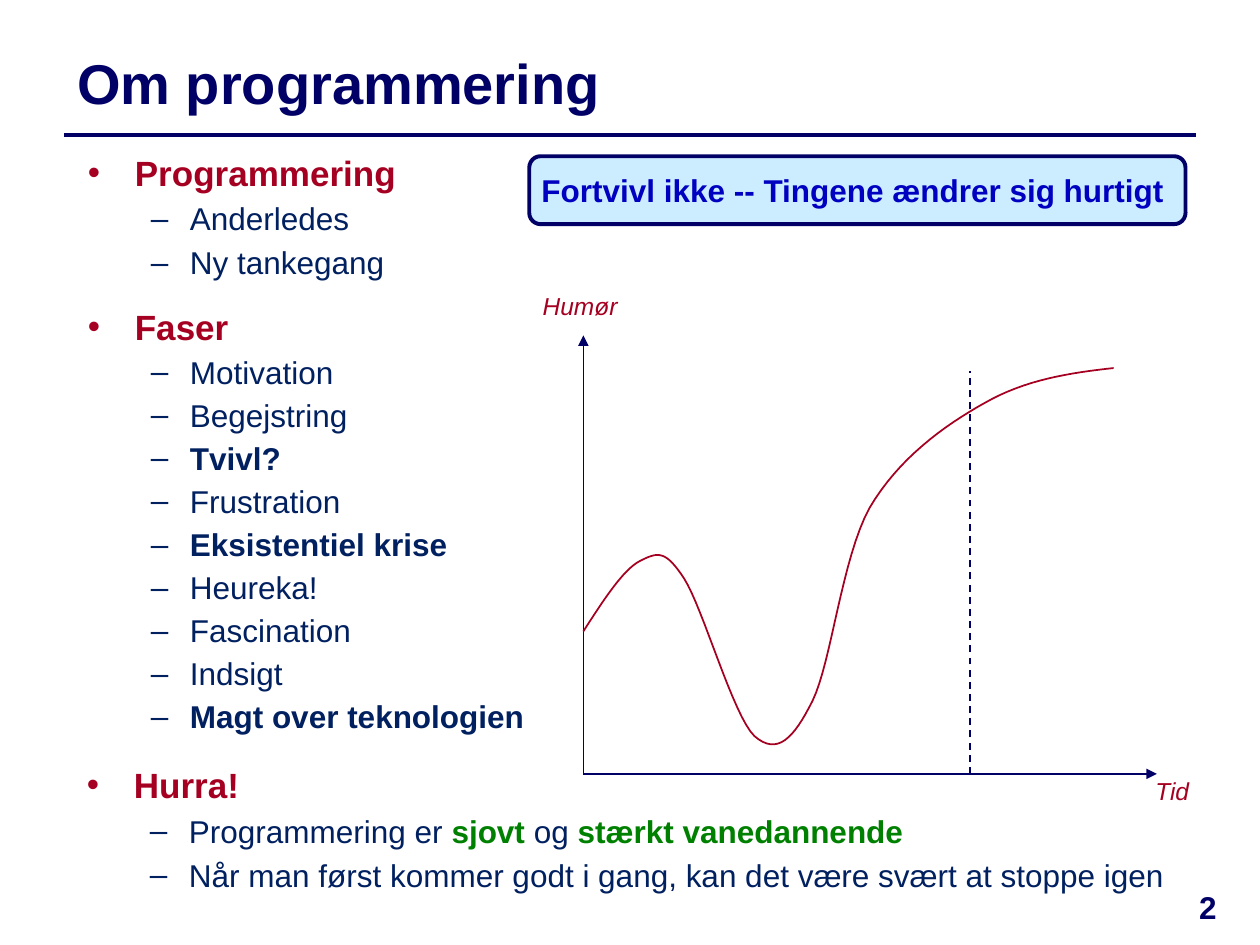
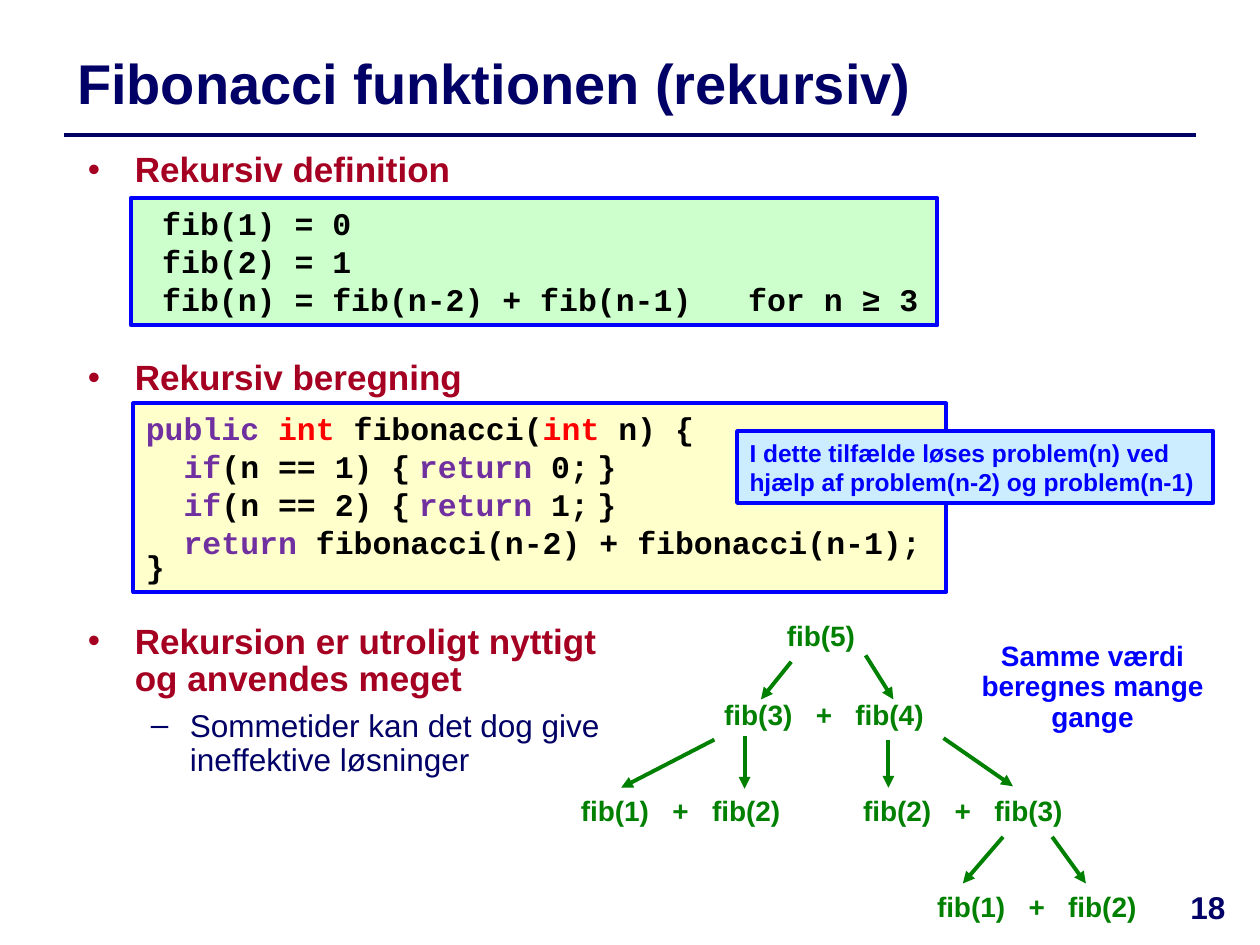
from collections import namedtuple

from lxml import etree
from pptx import Presentation
from pptx.dml.color import RGBColor
from pptx.enum.dml import MSO_LINE_DASH_STYLE as Dash
from pptx.enum.shapes import MSO_CONNECTOR as Connector, MSO_SHAPE as Preset
from pptx.enum.text import MSO_ANCHOR as Anchor, PP_ALIGN as Align
from pptx.oxml.ns import qn
from pptx.util import Cm, Pt

NAVY, DARK_BLUE, RED, GREEN = "000066", "002060", "A50021", "008000"
BLUE, ROYAL, PALE_BLUE = "0000FF", "0000C0", "CCECFF"
BLACK, KEYWORD, TYPE = "000000", "7030A0", "FF0000"
PALE_GREEN, PALE_YELLOW = "CCFFCC", "FFFFCC"
SANS, MONO = "Arial", "Courier New"

# Lengths in centimetres
Box = namedtuple("Box", "left top width height")
BULLETS = {0: ("•", 0.95, 0.95), 1: ("–", 2.06, 0.79)}  # sign, margin, hanging


def rgb(hex_color):
    return RGBColor.from_string(hex_color)


def style_run(run, size, color, bold=False, italic=False, font=SANS):
    run.font.name = font
    run.font.size = Pt(size)
    run.font.bold = bold
    run.font.italic = italic
    run.font.color.rgb = rgb(color)


def add_span(para, text, size, color, **look):
    span = para.add_run()
    span.text = text
    style_run(span, size, color, **look)
    return span


def next_para(frame):
    """Return the empty first paragraph, or a new one."""
    first = frame.paragraphs[0]
    return frame.add_paragraph() if first.runs else first


def add_textbox(slide, box, wrap=True):
    frame = slide.shapes.add_textbox(*map(Cm, box)).text_frame
    frame.word_wrap = wrap
    return frame


def add_label(slide, box, text, size, color, align=Align.CENTER, **look):
    frame = add_textbox(slide, box)
    frame.text = text
    para = frame.paragraphs[0]
    para.alignment = align
    style_run(para.runs[0], size, color, **look)
    return para


def add_panel(slide, box, fill, line, preset=Preset.RECTANGLE):
    """Add a filled, outlined shape and return its left-aligned text frame."""
    panel = slide.shapes.add_shape(preset, *map(Cm, box))
    panel.shadow.inherit = False
    panel.fill.solid()
    panel.fill.fore_color.rgb = rgb(fill)
    panel.line.color.rgb = rgb(line)
    panel.line.width = Pt(2.25)
    panel.text_frame.paragraphs[0].alignment = Align.LEFT
    return panel.text_frame


def add_line(slide, start, end, color, width, arrow=False, dash=None):
    line = slide.shapes.add_connector(Connector.STRAIGHT, *map(Cm, (*start, *end)))
    line.line.color.rgb = rgb(color)
    line.line.width = Pt(width)
    if dash:
        line.line.dash_style = dash
    properties = line._element.spPr
    if arrow:
        etree.SubElement(properties.find(qn("a:ln")), qn("a:tailEnd"), type="triangle")
    etree.SubElement(properties, qn("a:effectLst"))


def add_bullet(frame, level, spans, before=None, spacing=None):
    """Add one bulleted paragraph; spans are (text, color, bold)."""
    para = next_para(frame)
    sign, margin, hanging = BULLETS[level]
    properties = para._p.get_or_add_pPr()
    properties.set("marL", str(Cm(margin)))
    properties.set("indent", str(-Cm(hanging)))
    etree.SubElement(properties, qn("a:buFont"), typeface=SANS)
    etree.SubElement(properties, qn("a:buChar"), char=sign)
    para.level = level
    if before:
        para.space_before = Pt(before)
    if spacing:
        para.line_spacing = spacing
    for text, color, bold in spans:
        add_span(para, text, 18 if level else 20, color, bold=bold)


def add_heading(frame, text, **spacing):
    add_bullet(frame, 0, [(text, RED, True)], **spacing)


def add_titled_slide(deck, title, number):
    slide = deck.slides.add_slide(deck.slide_layouts[5])
    holder = slide.shapes.title
    holder.left, holder.top, holder.width, holder.height = map(Cm, (1.3, 0.71, 22.8, 1.9))
    frame = holder.text_frame
    frame.text = title
    frame.vertical_anchor = Anchor.MIDDLE
    frame.paragraphs[0].alignment = Align.LEFT
    style_run(frame.paragraphs[0].runs[0], 32, NAVY, bold=True)
    add_line(slide, (1.3, 2.72), (24.1, 2.72), NAVY, 2)
    add_label(slide, Box(23.3, 17.78, 2.1, 1.27), str(number), 18, NAVY, bold=True)
    return slide


def add_phases(slide, box):
    frame = add_textbox(slide, box)
    add_heading(frame, "Programmering")
    for topic in ("Anderledes", "Ny tankegang"):
        add_bullet(frame, 1, [(topic, DARK_BLUE, False)], before=3.6)
    add_heading(frame, "Faser", before=14)
    strong = {"Tvivl?", "Eksistentiel krise", "Magt over teknologien"}
    for phase in ("Motivation", "Begejstring", "Tvivl?", "Frustration",
                  "Eksistentiel krise", "Heureka!", "Fascination", "Indsigt",
                  "Magt over teknologien"):
        add_bullet(frame, 1, [(phase, DARK_BLUE, phase in strong)], before=3)


def add_conclusion(slide, box):
    frame = add_textbox(slide, box)
    add_heading(frame, "Hurra!")
    add_bullet(frame, 1, [("Programmering er ", DARK_BLUE, False),
                          ("sjovt ", GREEN, True), ("og ", DARK_BLUE, False),
                          ("stærkt vanedannende", GREEN, True)], before=3.6)
    add_bullet(frame, 1, [("Når man først kommer godt i gang, kan det være svært "
                           "at stoppe igen", DARK_BLUE, False)], before=3.6)


MOOD_START = (0, 5.97)
MOOD_BEZIERS = [  # two control points and an end point each
    ((0.41, 5.33), (0.81, 4.72), (1.14, 4.55)),
    ((1.5, 4.37), (1.65, 4.32), (2.03, 4.9)),
    ((2.41, 5.49), (3.02, 7.67), (3.45, 8.08)),
    ((3.91, 8.48), (4.24, 8.13), (4.62, 7.37)),
    ((5, 6.6), (5.21, 4.5), (5.77, 3.48)),
    ((6.35, 2.49), (7.26, 1.83), (8.08, 1.37)),
    ((8.92, 0.89), (9.8, 0.76), (10.69, 0.66)),
]


def bezier_points(start, beziers, steps=16):
    for first, second, end in beziers:
        for step in range(1, steps + 1):
            t = step / steps
            weights = ((1 - t) ** 3, 3 * t * (1 - t) ** 2, 3 * t * t * (1 - t), t ** 3)
            yield tuple(sum(w * value for w, value in zip(weights, axis))
                        for axis in zip(start, first, second, end))
        start = end


def add_mood_graph(slide, box):
    """Draw axes, mood curve and a dashed marker; box is the area of the axes."""
    def at(x, y):
        return box.left + x, box.top + y

    origin = at(0, box.height)
    add_line(slide, origin, at(box.width, box.height), NAVY, 1, arrow=True)
    add_line(slide, origin, at(0, 0), NAVY, 1, arrow=True)
    add_line(slide, at(7.8, box.height), at(7.8, 0.71), NAVY, 1, dash=Dash.DASH)

    outline = slide.shapes.build_freeform(*map(Cm, at(*MOOD_START)))
    outline.add_line_segments(
        [tuple(map(Cm, at(*point))) for point in bezier_points(MOOD_START, MOOD_BEZIERS)],
        close=False)
    curve = outline.convert_to_shape()
    curve.shadow.inherit = False
    curve.fill.background()
    curve.line.color.rgb = rgb(RED)
    curve.line.width = Pt(1)

    add_label(slide, Box(*at(-1.68, -1.02), 3.23, 0.86), "Humør", 14, RED, italic=True)
    add_label(slide, Box(*at(box.width - 0.28, box.height - 0.08), 1.73, 0.86), "Tid",
              14, RED, align=Align.LEFT, italic=True)


def add_callout(slide, box, text, size, color, line, preset=Preset.RECTANGLE):
    frame = add_panel(slide, box, PALE_BLUE, line, preset)
    frame.vertical_anchor = Anchor.MIDDLE
    frame.text = text
    style_run(frame.paragraphs[0].runs[0], size, color, bold=True)
    return frame


def base_case(argument, result):
    return [("  ", BLACK), ("if", KEYWORD), (f"(n == {argument}) {{", BLACK), (" ", BLACK, 8),
            ("return ", KEYWORD), (f"{result};", BLACK), (" ", BLACK, 8), ("}", BLACK)]


DEFINITION = [[(line, BLACK)] for line in (
    " fib(1) = 0", " fib(2) = 1", " fib(n) = fib(n-2) + fib(n-1)   for n ≥ 3")]
METHOD = [
    [("public ", KEYWORD), ("int ", TYPE), ("fibonacci(", BLACK), ("int ", TYPE),
     ("n) {", BLACK)],
    base_case(1, 0),
    base_case(2, 1),
    [("  return ", KEYWORD), ("fibonacci(n-2) + fibonacci(n-1);", BLACK)],
    [("}", BLACK)],
]


def add_code(slide, box, fill, lines):
    """Add a code panel; spans are (text, color) or (text, color, size)."""
    frame = add_panel(slide, box, fill, BLUE)
    frame.vertical_anchor = Anchor.TOP
    for line in lines:
        para = next_para(frame)
        para.alignment = Align.LEFT
        for text, color, *size in line:
            add_span(para, text, size[0] if size else 18, color, bold=True, font=MONO)
    return frame


def add_section_heading(slide, top, text):
    frame = add_textbox(slide, Box(1.52, top, 8.66, 1.1))
    add_heading(frame, text, spacing=0.9)


def add_remark(slide, box):
    frame = add_textbox(slide, box)
    add_heading(frame, "Rekursion er utroligt nyttigt og anvendes meget", spacing=0.9)
    add_bullet(frame, 1, [("Sommetider kan det dog give ineffektive løsninger", NAVY, False)],
               before=6, spacing=0.9)


CALLS = [  # centre, top, arguments
    (5.55, 0.04, [5]), (5.61, 1.64, [3, 4]), (2.72, 3.58, [1, 2]),
    (8.41, 3.58, [2, 3]), (9.9, 5.51, [1, 2]),
]
CALL_ARROWS = [
    ((4.95, 1.04), (4.34, 1.8)), ((6.45, 0.91), (7.01, 1.8)),
    ((3.4, 2.61), (1.52, 3.58)), ((4.01, 2.53), (4.01, 3.6)),
    ((6.91, 2.61), (6.91, 3.58)), ((8.02, 2.58), (9.42, 3.55)),
    ((9.22, 4.57), (8.41, 5.51)), ((10.21, 4.57), (10.89, 5.51)),
]


def add_call_tree(slide, box):
    def at(x, y):
        return box.left + x, box.top + y

    width = 5.4
    for centre, top, arguments in CALLS:
        frame = add_textbox(slide, Box(*at(centre - width / 2, top), width, 0.94))
        para = frame.paragraphs[0]
        para.alignment = Align.CENTER
        for index, argument in enumerate(arguments):
            for text in ((" ", "+", " ") if index else ()):
                span = add_span(para, text, 16, GREEN, bold=True)
                if text == " ":
                    span._r.get_or_add_rPr().set("spc", "890")  # widens the gap
            add_span(para, f"fib({argument})", 16, GREEN, bold=True)
    for start, end in CALL_ARROWS:
        add_line(slide, at(*start), at(*end), GREEN, 2.25, arrow=True)
    note = add_label(slide, Box(*at(8.41, 0.53), 5.23, 2.11),
                     "Samme værdi beregnes mange gange", 16, BLUE, bold=True)
    note.line_spacing = 0.9


def build_programming_slide(deck):
    slide = add_titled_slide(deck, "Om programmering", 2)
    add_phases(slide, Box(1.52, 2.92, 9.4, 12.2))
    add_mood_graph(slide, Box(11.76, 6.76, 11.56, 8.84))
    callout = add_callout(slide, Box(10.67, 3.15, 13.23, 1.37),
                          "Fortvivl ikke -- Tingene ændrer sig hurtigt", 18, ROYAL, NAVY,
                          Preset.ROUNDED_RECTANGLE)
    callout.margin_left = callout.margin_right = Cm(0.18)
    add_conclusion(slide, Box(1.5, 15.27, 22.4, 2.9))


def build_fibonacci_slide(deck):
    slide = add_titled_slide(deck, "Fibonacci funktionen (rekursiv)", 18)
    add_section_heading(slide, 2.95, "Rekursiv definition")
    add_code(slide, Box(2.64, 3.99, 16.26, 2.57), PALE_GREEN, DEFINITION)
    add_section_heading(slide, 7.14, "Rekursiv beregning")
    method = add_code(slide, Box(2.69, 8.13, 16.38, 3.81), PALE_YELLOW, METHOD)
    method.paragraphs[-1].line_spacing = 0.6
    add_callout(slide, Box(14.86, 8.69, 9.6, 1.45),
                "I dette tilfælde løses problem(n) ved hjælp af problem(n-2) og problem(n-1)",
                14, BLUE, BLUE)
    add_remark(slide, Box(1.52, 12.45, 11.48, 3.4))
    add_call_tree(slide, Box(11, 12.3, 13.7, 6.5))


def main():
    deck = Presentation()
    deck.slide_width, deck.slide_height = Cm(25.4), Cm(19.05)
    build_programming_slide(deck)
    build_fibonacci_slide(deck)
    deck.save("out.pptx")


if __name__ == "__main__":
    main()
